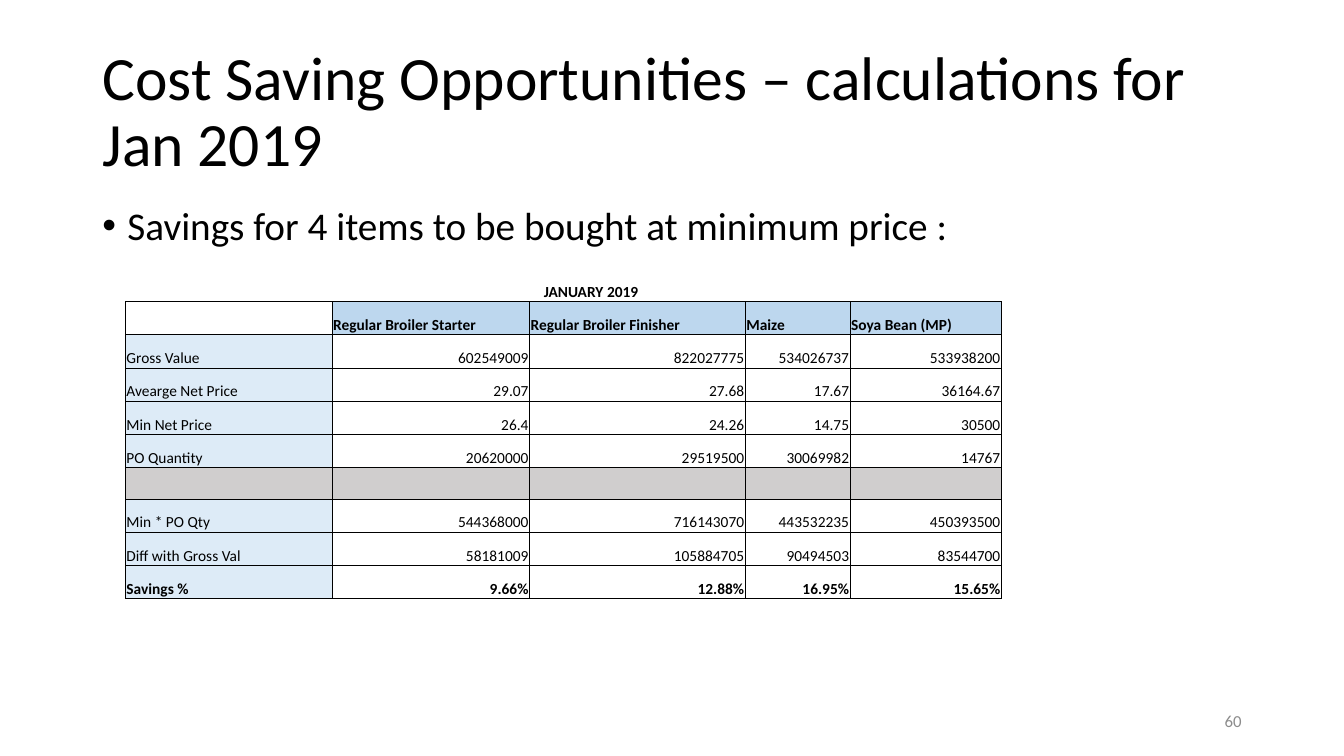
from dataclasses import dataclass
from typing import Optional

from lxml import etree
from pptx import Presentation
from pptx.dml.color import RGBColor
from pptx.enum.text import MSO_ANCHOR as Anchor, MSO_AUTO_SIZE as AutoSize, PP_ALIGN as Align
from pptx.oxml.ns import qn
from pptx.util import Pt

BLACK = RGBColor(0x00, 0x00, 0x00)
GREY = RGBColor(0x8C, 0x8C, 0x8C)
HEADER_BLUE = RGBColor(0xBD, 0xD7, 0xEE)
LABEL_BLUE = RGBColor(0xDD, 0xEB, 0xF7)
GAP_GREY = RGBColor(0xD0, 0xCE, 0xCE)

FONT = "Calibri"
TABLE_SIZE = 11
COLUMN_WIDTHS = (147.6, 141.1, 154.1, 74.9, 108)
ROW_HEIGHT, GAP_HEIGHT = 23.76, 22.3
ALL_SIDES = "LRTB"


@dataclass(frozen=True)
class Row:
    label: str
    values: tuple[str, ...]
    bold: bool = False
    label_fill: Optional[RGBColor] = LABEL_BLUE
    value_fill: Optional[RGBColor] = None
    value_align: Align = Align.RIGHT
    borders: str = ALL_SIDES
    height: float = ROW_HEIGHT


ROWS = (
    Row("", ("JANUARY 2019", "", "", ""), bold=True, label_fill=None,
        value_align=Align.CENTER, borders="B"),
    Row("", ("Regular Broiler Starter", "Regular Broiler Finisher", "Maize", "Soya Bean (MP)"),
        bold=True, label_fill=None, value_fill=HEADER_BLUE, value_align=Align.LEFT),
    Row("Gross Value", ("602549009", "822027775", "534026737", "533938200")),
    Row("Avearge Net Price", ("29.07", "27.68", "17.67", "36164.67")),
    Row("Min Net Price", ("26.4", "24.26", "14.75", "30500")),
    Row("PO Quantity", ("20620000", "29519500", "30069982", "14767")),
    Row("", ("",) * 4, label_fill=GAP_GREY, value_fill=GAP_GREY, height=GAP_HEIGHT),
    Row("Min * PO Qty", ("544368000", "716143070", "443532235", "450393500")),
    Row("Diff with Gross Val", ("58181009", "105884705", "90494503", "83544700")),
    Row("Savings %", ("9.66%", "12.88%", "16.95%", "15.65%"), bold=True),
)


def write(frame, text: str, *, size: float, color: RGBColor = BLACK, bold: bool = False,
          align: Align = Align.LEFT, line_spacing: float = 1.0):
    paragraph = frame.paragraphs[0]
    paragraph.alignment = align
    paragraph.line_spacing = line_spacing
    if text:
        run = paragraph.add_run()
        run.text = text
        run.font.name = FONT
        run.font.size = Pt(size)
        run.font.bold = bold
        run.font.color.rgb = color
    else:
        etree.SubElement(paragraph._p, qn("a:endParaRPr"), sz=str(size * 100))
    return paragraph


def place(shape, left: float, top: float, width: float, height: float) -> None:
    shape.left, shape.top, shape.width, shape.height = map(Pt, (left, top, width, height))


def add_text_box(slide, left: float, top: float, width: float, height: float, anchor: Anchor):
    frame = slide.shapes.add_textbox(Pt(left), Pt(top), Pt(width), Pt(height)).text_frame
    frame.word_wrap = True
    frame.vertical_anchor = anchor
    return frame


def add_bullet(paragraph, indent: float) -> None:
    properties = paragraph._p.get_or_add_pPr()
    properties.set("marL", str(Pt(indent)))
    properties.set("indent", str(Pt(-indent)))
    etree.SubElement(properties, qn("a:buFont"), typeface="Arial")
    etree.SubElement(properties, qn("a:buChar"), char="•")


def set_borders(cell, visible: str) -> None:
    properties = cell._tc.get_or_add_tcPr()
    for side in ALL_SIDES:
        line = etree.SubElement(properties, qn(f"a:ln{side}"), w=str(Pt(0.5)))
        if side in visible:
            fill = etree.SubElement(line, qn("a:solidFill"))
            etree.SubElement(fill, qn("a:srgbClr"), val=str(BLACK))
        else:
            etree.SubElement(line, qn("a:noFill"))


def fill_cell(cell, text: str, row: Row, fill: Optional[RGBColor], align: Align) -> None:
    cell.margin_left = cell.margin_right = cell.margin_top = Pt(0.72)
    cell.margin_bottom = 0
    cell.vertical_anchor = Anchor.BOTTOM
    set_borders(cell, row.borders)
    if fill is None:
        cell.fill.background()
    else:
        cell.fill.solid()
        cell.fill.fore_color.rgb = fill
    write(cell.text_frame, text, size=TABLE_SIZE, bold=row.bold, align=align)


def add_savings_table(slide) -> None:
    table = slide.shapes.add_table(
        len(ROWS), len(COLUMN_WIDTHS), Pt(89.6), Pt(191.5),
        Pt(sum(COLUMN_WIDTHS)), Pt(sum(row.height for row in ROWS))).table
    table.first_row = table.horz_banding = False
    for column, width in zip(table.columns, COLUMN_WIDTHS):
        column.width = Pt(width)
    for index, row in enumerate(ROWS):
        table.rows[index].height = Pt(row.height)
        fill_cell(table.cell(index, 0), row.label, row, row.label_fill, Align.LEFT)
        for column, value in enumerate(row.values, start=1):
            fill_cell(table.cell(index, column), value, row, row.value_fill, row.value_align)
    table.cell(0, 1).merge(table.cell(0, 3))


def main() -> None:
    deck = Presentation()
    deck.slide_width, deck.slide_height = Pt(960), Pt(540)
    slide = deck.slides.add_slide(deck.slide_layouts[5])

    title = slide.shapes.title
    place(title, 66, 28.75, 828, 104.4)
    title.text_frame.word_wrap = True
    title.text_frame.auto_size = AutoSize.NONE
    title.text_frame.vertical_anchor = Anchor.MIDDLE
    write(title.text_frame, "Cost Saving Opportunities – calculations for Jan 2019",
          size=44, line_spacing=0.9)

    summary = add_text_box(slide, 66, 143.75, 828, 342.6, Anchor.TOP)
    bullet = write(summary, "Savings for 4 items to be bought at minimum price :",
                   size=28, line_spacing=0.9)
    bullet.space_before = Pt(10)
    add_bullet(bullet, 18)

    add_savings_table(slide)

    page_number = add_text_box(slide, 678, 500.5, 216, 28.75, Anchor.MIDDLE)
    write(page_number, "60", size=12, color=GREY, align=Align.RIGHT)

    deck.save("out.pptx")


if __name__ == "__main__":
    main()
